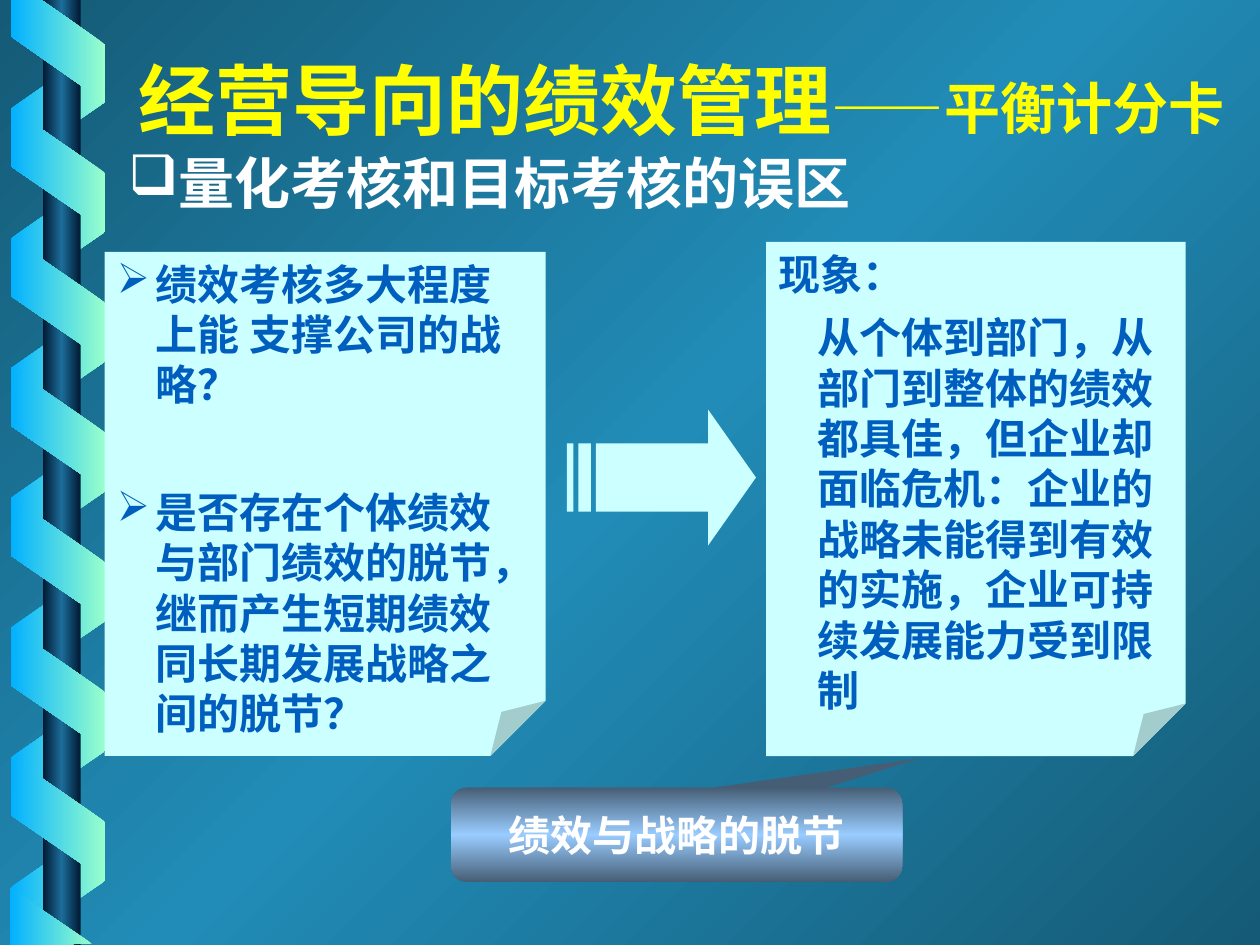
from lxml.etree import SubElement
from pptx import Presentation
from pptx.dml.color import RGBColor
from pptx.enum.lang import MSO_LANGUAGE_ID as Language
from pptx.enum.shapes import MSO_SHAPE as Shape, MSO_SHAPE_TYPE as Kind
from pptx.enum.text import MSO_ANCHOR as Anchor, PP_ALIGN as Align
from pptx.oxml.ns import qn
from pptx.util import Inches, Pt

COLORS = {
    "edge": "155A76", "glow": "218CB7", "blue": "01B0FF", "mint": "99FFCC",
    "navy": "001932", "steel": "1C6D9A", "paper": "CCFFFF", "ink": "005FBE",
    "slate": "465E75", "sky": "99CCFF", "white": "FFFFFF", "yellow": "FFFF00",
}


def set_gradient(properties, names, angle):
    gradient = properties.makeelement(qn("a:gradFill"), {"rotWithShape": "0"})
    stops = SubElement(gradient, qn("a:gsLst"))
    for index, name in enumerate(names):
        position = index * 100000 // (len(names) - 1)
        stop = SubElement(stops, qn("a:gs"), pos=str(position))
        SubElement(stop, qn("a:srgbClr"), val=COLORS[name])
    SubElement(gradient, qn("a:lin"), ang=str(angle * 60000), scaled="0")
    properties.replace(properties.find(qn("a:noFill")), gradient)


def format_text(para, size, color, margin=0, indent=0, bullet=None):
    props = para._p.get_or_add_pPr()
    props.set("marL", str(Inches(margin)))
    props.set("indent", str(Inches(indent)))
    if bullet:
        bullet_color = SubElement(props, qn("a:buClr"))
        SubElement(bullet_color, qn("a:srgbClr"), val=COLORS[color])
        SubElement(props, qn("a:buChar"), char=bullet)
    for span in para.runs:
        span.font.name = "Times New Roman"
        span.font.size = Pt(size)
        span.font.bold = True
        span.font.color.rgb = RGBColor.from_string(COLORS[color])
        span.font.language_id = Language.SIMPLIFIED_CHINESE


deck = Presentation()
deck.slide_width, deck.slide_height = Inches(10), Inches(7.5)
page = deck.slides.add_slide(deck.slide_layouts[6])
shapes = page.shapes

page.background.fill.background()
set_gradient(page._element.cSld.find(".//" + qn("p:bgPr")), ["edge", "glow", "edge"], 225)

RIBBONS = [
    (7, 0.46, 90, ["blue", "mint"]),
    (6, 0.97, 270, ["mint", "blue"]),
]
for count, top, rotation, names in RIBBONS:
    for index in range(count):
        ribbon = shapes.add_shape(Shape.PARALLELOGRAM, Inches(-0.03), Inches(top + 1.03 * index),
                                  Inches(0.98), Inches(0.75))
        ribbon.adjustments[0] = 0.69
        ribbon.rotation = rotation
        if rotation == 90:
            ribbon._element.spPr.xfrm.set("flipH", "1")
        ribbon.fill.background()
        set_gradient(ribbon._element.spPr, names, 180)
    if rotation == 90:
        rod = shapes.add_shape(Shape.RECTANGLE, Inches(0.34), 0, Inches(0.3), Inches(7.5))
        rod.fill.background()
        set_gradient(rod._element.spPr, ["navy", "steel", "navy"], 180)

RIBBON_ENDS = [
    [(0.09, 0), (0.09, 0.29), (0.83, 0.81), (0.83, 0.35), (0.33, 0)],
    [(0.73, 7.49), (0.08, 7.05), (0.08, 7.5)],
]
for points in RIBBON_ENDS:
    corners = [(Inches(x), Inches(y)) for x, y in points]
    builder = shapes.build_freeform(*corners[0])
    builder.add_line_segments(corners[1:])
    ribbon_end = builder.convert_to_shape()
    ribbon_end.fill.background()
    set_gradient(ribbon_end._element.spPr, ["mint", "blue"], 180)

subtitle = shapes.add_textbox(Inches(0.92), Inches(1.08), Inches(8.5), Inches(5.15))
subtitle.text_frame.word_wrap = True
para = subtitle.text_frame.paragraphs[0]
para.text = "量化考核和目标考核的误区"
para.line_spacing = 1.1
format_text(para, 32, "white", 0.38, -0.38, "❑")

NOTES = [
    (0.83, 2, 3.5, 4, 44, [
        ("绩效考核多大程度上能 支撑公司的战略？", -0.31, "➢"),
        ("是否存在个体绩效与部门绩效的脱节，继而产生短期绩效同长期发展战略之间的脱节？", -0.31, "➢"),
    ]),
    (6.08, 1.92, 3.33, 4.08, 7.5, [
        ("现象：", -0.31, None),
        ("从个体到部门，从部门到整体的绩效都具佳，但企业却面临危机："
         "企业的战略未能得到有效的实施，企业可持续发展能力受到限制", 0, None),
    ]),
]
for left, top, width, height, gap, lines in NOTES:
    note = shapes.add_shape(Shape.FOLDED_CORNER, Inches(left), Inches(top), Inches(width), Inches(height))
    fold = note._element.spPr.find(".//" + qn("a:avLst"))
    SubElement(fold, qn("a:gd"), name="adj", fmla="val 12500")
    note.fill.solid()
    note.fill.fore_color.rgb = RGBColor.from_string(COLORS["paper"])
    frame = note.text_frame
    frame.word_wrap = True
    frame.vertical_anchor = Anchor.TOP
    for index, (text, indent, bullet) in enumerate(lines):
        para = frame.add_paragraph() if index else frame.paragraphs[0]
        para.text = text
        para.alignment = Align.LEFT
        if index:
            para.space_before = Pt(gap)
        format_text(para, 24, "ink", 0.31, indent, bullet)

ARROW_PARTS = [
    [(4.73, 3.52), (5.62, 3.52), (5.62, 3.25), (6, 3.79), (5.62, 4.33), (5.62, 4.06), (4.73, 4.06)],
    [(4.5, 3.52), (4.55, 3.52), (4.55, 4.06), (4.5, 4.06)],
    [(4.59, 3.52), (4.69, 3.52), (4.69, 4.06), (4.59, 4.06)],
]
builder = None
for points in ARROW_PARTS:
    corners = [(Inches(x), Inches(y)) for x, y in points]
    if builder:
        builder.move_to(*corners[0])
    else:
        builder = shapes.build_freeform(*corners[0])
    builder.add_line_segments(corners[1:])
arrow = builder.convert_to_shape()
arrow.fill.solid()
arrow.fill.fore_color.rgb = RGBColor.from_string(COLORS["paper"])

callout = shapes.add_shape(Shape.ROUNDED_RECTANGULAR_CALLOUT, Inches(3.58), Inches(6.25),
                           Inches(3.58), Inches(0.75))
for index, value in enumerate([0.54, -0.81, 0.17]):
    callout.adjustments[index] = value
callout.fill.background()
set_gradient(callout._element.spPr, ["slate", "sky", "slate"], 90)
callout.text_frame.word_wrap = True
callout.text_frame.vertical_anchor = Anchor.MIDDLE
para = callout.text_frame.paragraphs[0]
para.text = "绩效与战略的脱节"
para.alignment = Align.CENTER
format_text(para, 24, "white")

title = shapes.add_textbox(Inches(1), Inches(0.33), Inches(8.83), Inches(0.87))
title.text_frame.word_wrap = True
title.text_frame.vertical_anchor = Anchor.BOTTOM
para = title.text_frame.paragraphs[0]
for text in ["经营导向的绩效管理", "——平衡计分卡"]:
    para.add_run().text = text
format_text(para, 44, "yellow")
para.runs[1].font.size = Pt(32)

for shape in shapes:
    if shape.shape_type != Kind.TEXT_BOX:
        shape.shadow.inherit = False
        shape.line.fill.background()

deck.save("out.pptx")
